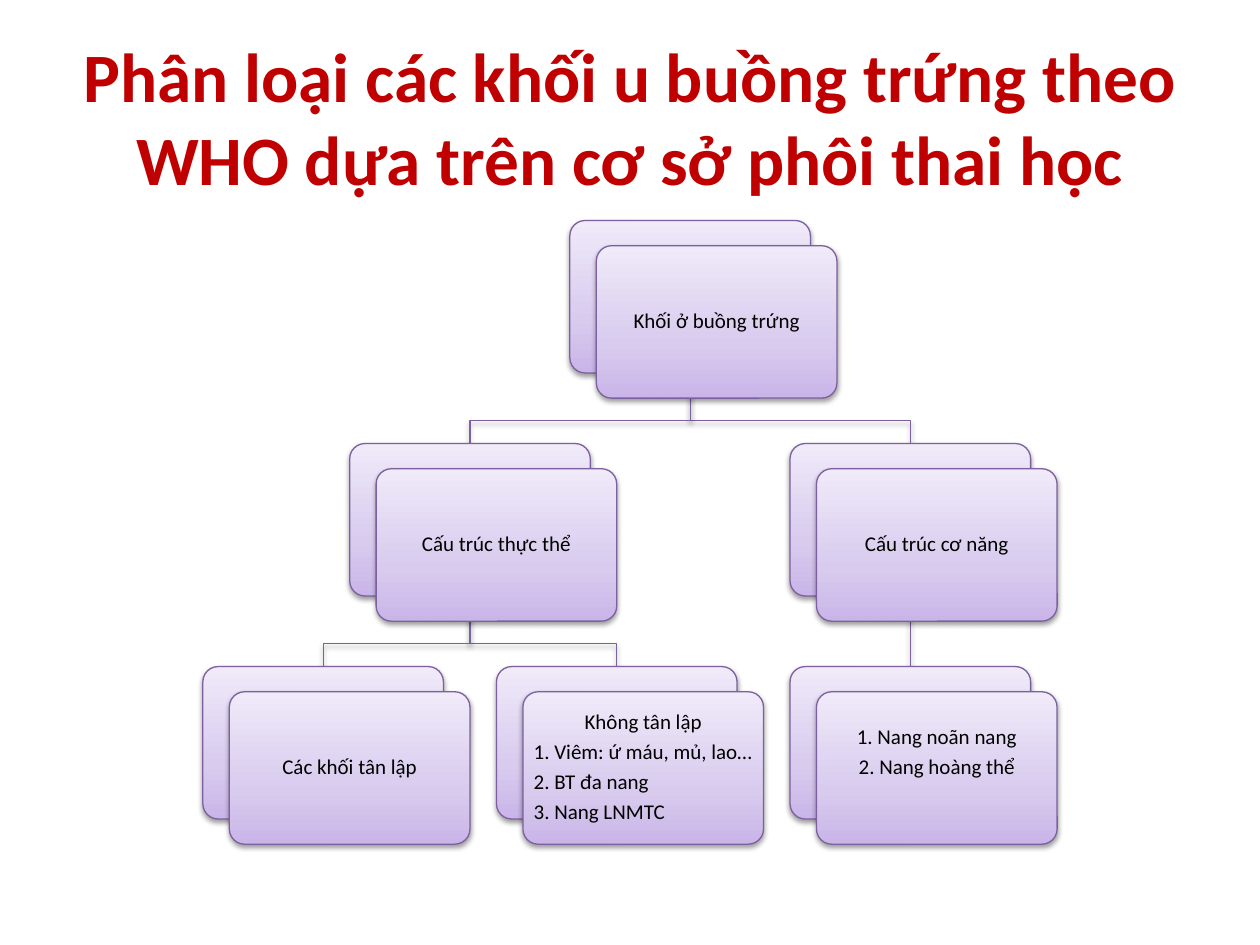
from copy import deepcopy

from lxml import etree
from pptx import Presentation
from pptx.dml.color import RGBColor
from pptx.enum.shapes import MSO_SHAPE
from pptx.enum.text import MSO_ANCHOR, MSO_AUTO_SIZE, PP_ALIGN
from pptx.oxml.ns import qn
from pptx.util import Inches, Pt

ROUNDED = MSO_SHAPE.ROUNDED_RECTANGLE
MIDDLE = MSO_ANCHOR.MIDDLE
CENTER, LEFT = PP_ALIGN.CENTER, PP_ALIGN.LEFT

RED = RGBColor(0xC0, 0x00, 0x00)
BLACK = RGBColor(0x00, 0x00, 0x00)
PURPLE = RGBColor(0x7D, 0x60, 0xA0)
GRADIENT = [
    (0, RGBColor(0xC9, 0xB5, 0xE8)),
    (0.35, RGBColor(0xD8, 0xCB, 0xEE)),
    (1, RGBColor(0xF0, 0xEA, 0xF9)),
]
FONT = "Calibri"

# Content
TITLE = "Phân loại các khối u buồng trứng theo WHO dựa trên cơ sở phôi thai học"
# name: (column, row, heading lines, list lines, bottom inset)
NODES = {
    "root": (1.25, 0, ["Khối ở buồng trứng"], [], 0.05),
    "organic": (0.5, 1, ["Cấu trúc thực thể"], [], 0.05),
    "tumours": (0, 2, ["Các khối tân lập"], [], 0.05),
    "non_tumours": (1, 2, ["Không tân lập"],
                    ["1. Viêm: ứ máu, mủ, lao…", "2. BT đa nang", "3. Nang LNMTC"], 0.05),
    "functional": (2, 1, ["Cấu trúc cơ năng"], [], 0.05),
    "cysts": (2, 2, ["1. Nang noãn nang", "2. Nang hoàng thể"], [], 0.29),
}
BRANCHES = [
    ("functional", "cysts"),
    ("root", "functional"),
    ("organic", "non_tumours"),
    ("organic", "tumours"),
    ("root", "organic"),
]

# Grid
GRID_LEFT, GRID_TOP = Inches(1.61), Inches(1.75)
COLUMN_STEP, ROW_STEP = Inches(2.33), Inches(1.77)
CARD_WIDTH, CARD_HEIGHT = Inches(1.91), Inches(1.21)
FRONT_SHIFT_X, FRONT_SHIFT_Y = Inches(0.21), Inches(0.2)
ELBOW_RISE = Inches(0.18)


def card_position(name):
    column, row = NODES[name][:2]
    return int(GRID_LEFT + column * COLUMN_STEP), GRID_TOP + row * ROW_STEP


def style_outline(shape):
    """Thin purple line and a soft shadow below."""
    shape.line.color.rgb = PURPLE
    shape.line.width = Pt(0.75)
    shape.shadow.inherit = False
    effects = shape._element.spPr.find(qn("a:effectLst"))
    shadow = etree.SubElement(effects, qn("a:outerShdw"), blurRad=str(Pt(3.1)),
                              dist=str(Pt(1.6)), dir="5400000", rotWithShape="0")
    color = etree.SubElement(shadow, qn("a:srgbClr"), val="000000")
    etree.SubElement(color, qn("a:alpha"), val="38000")


def add_branch(shapes, parent, child):
    parent_left, parent_top = card_position(parent)
    child_left, child_top = card_position(child)
    start_x, end_x = parent_left + CARD_WIDTH // 2, child_left + CARD_WIDTH // 2
    points = [(end_x, child_top)]
    if start_x != end_x:
        elbow_y = child_top - ELBOW_RISE
        points = [(start_x, elbow_y), (end_x, elbow_y)] + points
    builder = shapes.build_freeform(start_x, parent_top + CARD_HEIGHT)
    builder.add_line_segments(points, close=False)
    branch = builder.convert_to_shape()
    branch.fill.background()
    style_outline(branch)


def add_card(shapes, left, top):
    card = shapes.add_shape(ROUNDED, left, top, CARD_WIDTH, CARD_HEIGHT)
    card.adjustments[0] = 0.1
    card.fill.gradient()
    card.fill.gradient_angle = 90
    stop_list = card._element.spPr.find(qn("a:gradFill")).find(qn("a:gsLst"))
    stop_list.append(deepcopy(stop_list[-1]))
    for stop, (position, color) in zip(card.fill.gradient_stops, GRADIENT):
        stop.position = position
        stop.color.rgb = color
    style_outline(card)
    return card


def write_text(card, headings, items, bottom_inset):
    frame = card.text_frame
    frame.word_wrap = True
    frame.vertical_anchor = MIDDLE
    frame.margin_left = frame.margin_right = frame.margin_top = Inches(0.05)
    frame.margin_bottom = Inches(bottom_inset)
    lines = [(text, CENTER) for text in headings] + [(text, LEFT) for text in items]
    for index, (text, alignment) in enumerate(lines):
        paragraph = frame.add_paragraph() if index else frame.paragraphs[0]
        paragraph.text = text
        paragraph.alignment = alignment
        paragraph.line_spacing = 0.9
        paragraph.space_after = Pt(4.2)
        paragraph.font.size = Pt(12)
        paragraph.font.name = FONT
        paragraph.font.color.rgb = BLACK


def main():
    presentation = Presentation()
    presentation.slide_width, presentation.slide_height = Inches(10), Inches(7.5)
    slide = presentation.slides.add_slide(presentation.slide_layouts[5])

    # Title
    title = slide.shapes.title
    title.left, title.top = Inches(0.5), Inches(0.3)
    title.width, title.height = Inches(9), Inches(1.25)
    title.text_frame.text = TITLE
    title.text_frame.auto_size = MSO_AUTO_SIZE.NONE
    title.text_frame.vertical_anchor = MIDDLE
    paragraph = title.text_frame.paragraphs[0]
    paragraph.alignment = CENTER
    paragraph.font.size = Pt(39.6)
    paragraph.font.name = FONT
    paragraph.font.bold = True
    paragraph.font.color.rgb = RED

    # Branches lie behind the cards
    for parent, child in BRANCHES:
        add_branch(slide.shapes, parent, child)

    # Each node is a back card and a shifted front card with the text
    for name, (_, _, headings, items, bottom_inset) in NODES.items():
        left, top = card_position(name)
        add_card(slide.shapes, left, top)
        front = add_card(slide.shapes, left + FRONT_SHIFT_X, top + FRONT_SHIFT_Y)
        write_text(front, headings, items, bottom_inset)

    presentation.save("out.pptx")


if __name__ == "__main__":
    main()
